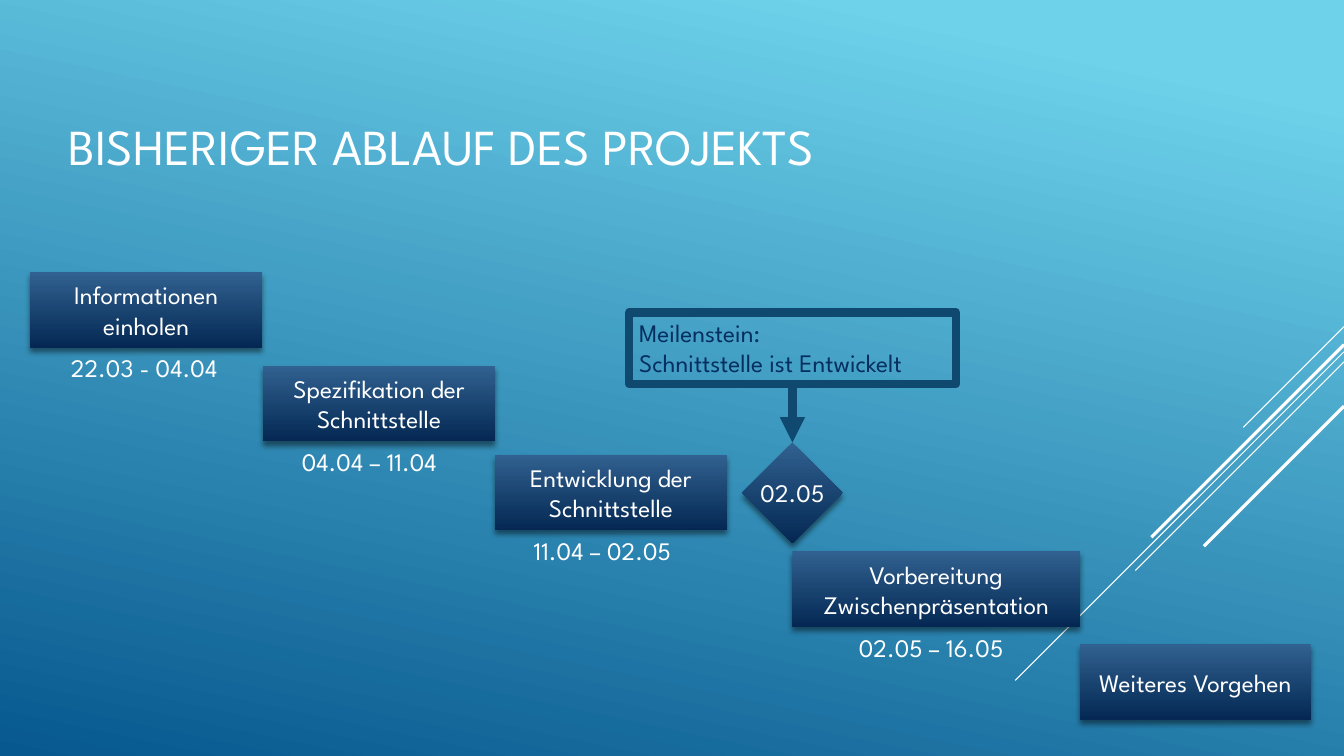
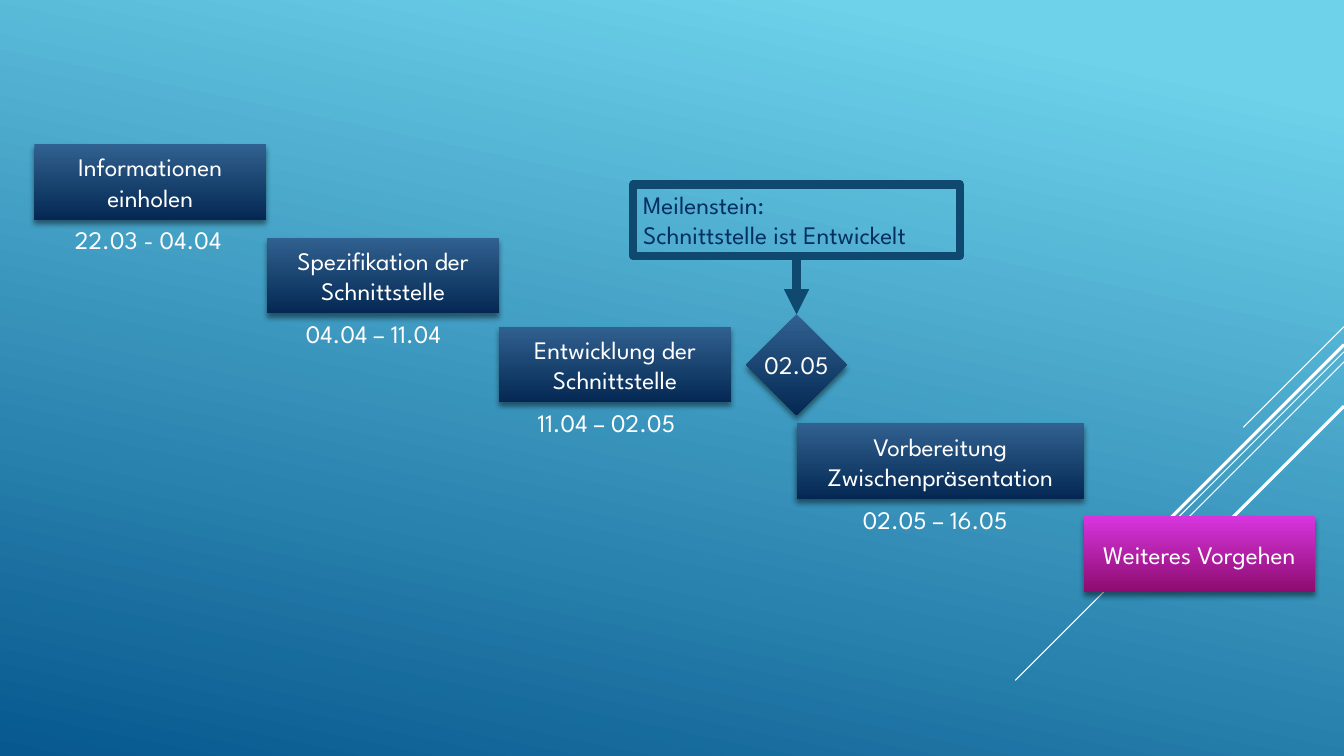
from collections import namedtuple
from dataclasses import dataclass

from lxml import etree
from pptx import Presentation, util as u
from pptx.dml.color import RGBColor
from pptx.enum import shapes as kinds, text as txt
from pptx.oxml.ns import qn

COLS, ROWS = 13.33, 7.5  # grid of one-inch cells


@dataclass(frozen=True)
class Theme:
    font: str = "League Spartan"
    head: int = 36
    body: int = 18
    thin: float = 0.75
    bold: float = 2.25
    frame: float = 6
    white: str = "FFFFFF"
    ink: str = "052F61"
    edge: str = "0F496F"
    sky: tuple = ("6ED2EB", "06588E")
    navy: tuple = ("316190", "042853")
    pink: tuple = ("D835DF", "8D0C6F")


THEME = Theme()
Step = namedtuple("Step", "name left top width date span")
STEPS = [
    Step("Informationen einholen", 0.3, 2.7, 2.3, "22.03 - 04.04", 1.69),
    Step("Spezifikation der Schnittstelle", 2.61, 3.63, 2.3, "04.04 – 11.04", 1.73),
    Step("Entwicklung der Schnittstelle", 4.91, 4.51, 2.3, "11.04 – 02.05", 1.73),
    Step("Vorbereitung Zwischenpräsentation", 7.86, 5.47, 2.85, "02.05 – 16.05", 1.73),
    Step("Weiteres Vorgehen", 10.71, 6.39, 2.29, None, 0),
]
TALL = 0.75
# top at the right edge, run to the left, weight
RAYS = [
    (3.24, 1, THEME.thin),
    (3.49, 3.26, THEME.thin),
    (3.59, 2.07, THEME.thin),
    (3.42, 1.91, THEME.bold),
    (4.03, 1.39, THEME.bold),
]


def grid(*cells):
    return [u.Inches(cell) for cell in cells]


def blend(fill, pair, angle, start=0):
    """Fill with two colours; angle runs clockwise."""
    fill.gradient()
    fill.gradient_angle = 360 - angle
    for stop, tone, place in zip(fill.gradient_stops, pair, (start, 1)):
        stop.color.rgb = RGBColor.from_string(tone)
        stop.position = place


def write(frame, lines, tone=THEME.white, size=THEME.body,
          align=txt.PP_ALIGN.LEFT, anchor=txt.MSO_ANCHOR.TOP, wrap=True):
    frame.word_wrap = wrap
    frame.vertical_anchor = anchor
    para = frame.paragraphs[0]
    para.alignment = align
    for i, line in enumerate(lines):
        if i:
            para.add_line_break()
        run = para.add_run()
        run.text = line
        run.font.name = THEME.font
        run.font.size = u.Pt(size)
        run.font.color.rgb = RGBColor.from_string(tone)


def shade(shape):
    """Give a shape a soft shadow straight below it."""
    shape.shadow.inherit = False
    effects = shape.element.spPr.find(qn("a:effectLst"))
    drop = etree.SubElement(effects, qn("a:outerShdw"), blurRad=str(u.Pt(4)),
                            dist=str(u.Pt(3)), dir="5400000", rotWithShape="0")
    black = etree.SubElement(drop, qn("a:srgbClr"), val="000000")
    etree.SubElement(black, qn("a:alpha"), val="46000")


def block(slide, kind, place, label, pair, wrap=True):
    shape = slide.shapes.add_shape(kind, *grid(*place))
    blend(shape.fill, pair, 90)
    shape.line.fill.background()
    shade(shape)
    write(shape.text_frame, [label], align=txt.PP_ALIGN.CENTER,
          anchor=txt.MSO_ANCHOR.MIDDLE, wrap=wrap)
    return shape


def link(slide, ends, tone, weight):
    line = slide.shapes.add_connector(kinds.MSO_CONNECTOR.STRAIGHT, *grid(*ends))
    line.line.color.rgb = RGBColor.from_string(tone)
    line.line.width = u.Pt(weight)
    etree.SubElement(line.element.spPr, qn("a:effectLst"))
    return line


def dress(master, slide):
    """Put the background and the slanted rays on the master."""
    blend(master.background.fill, THEME.sky, 102, 0.1)
    for top, run, weight in RAYS:
        ray = link(slide, (COLS, top, COLS - run, top + run), THEME.white, weight)
        master.shapes.element.append(ray.element)


def head(slide, label):
    title = slide.shapes.title
    title.left, title.top, title.width, title.height = grid(0.58, 0.62, 9.33, 1.65)
    write(title.text_frame, [label], size=THEME.head, anchor=txt.MSO_ANCHOR.MIDDLE)


def goal(slide, dx, dy):
    """Draw the milestone: diamond, framed note and arrow."""
    mark = block(slide, kinds.MSO_SHAPE.DIAMOND, (7.36 + dx, 4.39 + dy, 1, 1),
                 "02.05", THEME.navy, wrap=False)
    note = slide.shapes.add_shape(kinds.MSO_SHAPE.RECTANGLE,
                                  *grid(6.24 + dx, 3.1 + dy, 3.24, 0.71))
    note.shadow.inherit = False
    note.fill.background()
    note.line.color.rgb = RGBColor.from_string(THEME.edge)
    note.line.width = u.Pt(THEME.frame)
    write(note.text_frame, ["Meilenstein:", "Schnittstelle ist Entwickelt"], THEME.ink)
    arrow = link(slide, (0, 0, 1, 1), THEME.edge, THEME.frame)
    arrow.begin_connect(note, 2)
    arrow.end_connect(mark, 0)
    etree.SubElement(arrow.line._get_or_add_ln(), qn("a:tailEnd"), type="triangle")


def plan(slide, dx=0, dy=0, last=THEME.navy):
    """Draw the stair of steps, shifted by dx and dy."""
    for step in STEPS:
        left, top = step.left + dx, step.top + dy
        pair = last if step is STEPS[-1] else THEME.navy
        block(slide, kinds.MSO_SHAPE.RECTANGLE, (left, top, step.width, TALL),
              step.name, pair)
        if step.date:
            side = left + (step.width - step.span) / 2
            label = slide.shapes.add_textbox(*grid(side, top + TALL, step.span, 0.4))
            write(label.text_frame, [step.date], wrap=False)
    goal(slide, dx, dy)


def main():
    deck = Presentation()
    deck.slide_width, deck.slide_height = grid(COLS, ROWS)
    first = deck.slides.add_slide(deck.slide_layouts[5])
    dress(deck.slide_master, first)
    head(first, "BISHERIGER ABLAUF DES PROJEKTS")
    plan(first)
    plan(deck.slides.add_slide(deck.slide_layouts[6]), 0.04, -1.27, THEME.pink)
    deck.save("out.pptx")


if __name__ == "__main__":
    main()
